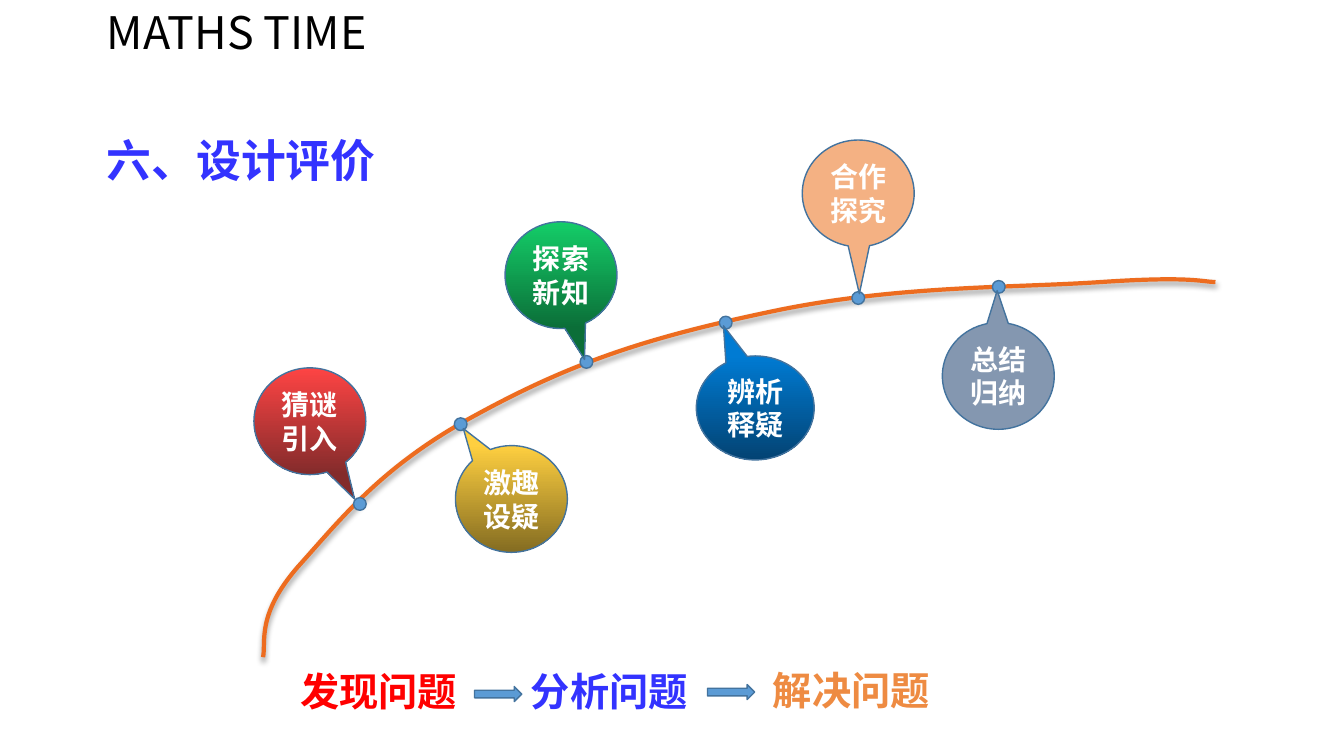
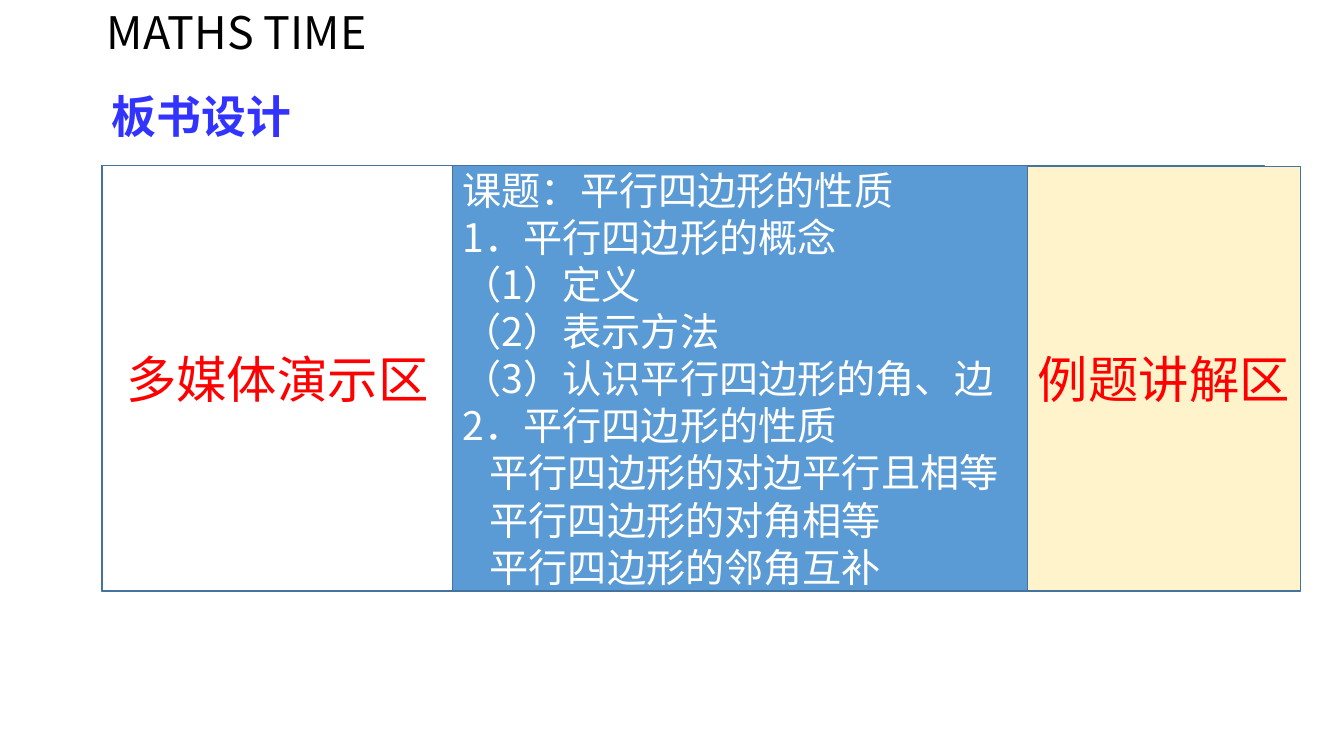
"""Build two maths lesson slides: the design evaluation and the blackboard plan."""
from dataclasses import dataclass

from lxml import etree
from pptx import Presentation
from pptx.dml.color import RGBColor
from pptx.enum.shapes import MSO_SHAPE
from pptx.enum.text import MSO_ANCHOR, PP_ALIGN
from pptx.oxml import parse_xml
from pptx.oxml.ns import nsdecls, qn
from pptx.util import Cm, Pt

OVAL = MSO_SHAPE.OVAL
CALLOUT = MSO_SHAPE.OVAL_CALLOUT
ARROW = MSO_SHAPE.RIGHT_ARROW
RECTANGLE = MSO_SHAPE.RECTANGLE
MIDDLE, TOP = MSO_ANCHOR.MIDDLE, MSO_ANCHOR.TOP
LEFT, CENTER = PP_ALIGN.LEFT, PP_ALIGN.CENTER


@dataclass(frozen=True)
class Theme:
    """Colours, font and type sizes shared by the slides."""

    font: str = "Noto Sans CJK SC"
    black: str = "000000"
    white: str = "FFFFFF"
    red: str = "FF0000"
    violet: str = "3333FF"
    orange: str = "EE8B42"
    curve: str = "ED6C1F"
    blue: str = "5B9BD5"
    outline: str = "43739E"
    cream: str = "FFF3CB"
    crimson: tuple = ("FE4444", "832B2B")
    green: tuple = ("14CD68", "0B6E38")
    gold: tuple = ("FECF40", "846C21")
    azure: tuple = ("007BD3", "034373")
    peach: str = "F4B183"
    slate: str = "8497B0"
    title_size: int = 32
    area_size: int = 36
    body_size: int = 28
    stage_size: int = 20


THEME = Theme()

CURVE_START = (6.63, 16.56)
CURVE_POINTS = [
    (6.71, 16.18), (6.45, 15.49), (7.52, 14.27),
    (8.61, 13.06), (9.63, 11.73), (11.99, 10.46),
    (14.35, 9.17), (16.21, 8.53), (19.35, 7.87),
    (22.5, 7.19), (25.45, 7.26), (27.71, 7.11),
    (29.95, 6.96), (30.23, 7.09), (30.63, 7.11),
]
DOT_SIZE = 0.32
DOT_CENTERS = [(9.07, 12.7), (11.61, 10.69), (14.78, 9.12),
               (18.29, 8.13), (21.63, 7.51), (25.17, 7.23)]
BUBBLE = (2.82, 2.69)
STAGES = [
    ("猜谜引入", (6.4, 9.27, *BUBBLE), (0.4, 0.73), THEME.crimson),
    ("探索新知", (12.73, 5.59, *BUBBLE), (0.21, 0.79), THEME.green),
    ("合作探究", (20.22, 3.53, *BUBBLE), (0.01, 0.94), THEME.peach),
    ("激趣设疑", (11.48, 11.23, *BUBBLE), (-0.43, -0.66), THEME.gold),
    ("辨析释疑", (17.55, 8.97, 2.97, 2.62), (-0.27, -0.79), THEME.azure),
    ("总结归纳", (23.75, 8.13, *BUBBLE), (-0.01, -0.8), THEME.slate),
]
STEPS = [
    ("发现问题", 7.32, 16.69, THEME.red),
    ("分析问题", 13.13, 16.69, THEME.violet),
    ("解决问题", 19.23, 16.66, THEME.orange),
]
STEP_ARROWS = [(11.96, 17.3), (17.83, 17.25)]

BOARD_LEFT, BOARD_TOP, BOARD_HEIGHT = 2.57, 4.17, 10.72
BOARD_LINES = [
    ("课题：平行四边形的性质", 0),
    ("1．平行四边形的概念", 0),
    ("（1）定义", 0),
    ("（2）表示方法", 0),
    ("（3）认识平行四边形的角、边", 0),
    ("2．平行四边形的性质", 0),
    ("平行四边形的对边平行且相等", 0.68),
    ("平行四边形的对角相等", 0.68),
    ("平行四边形的邻角互补", 0.68),
]
BOARD_AREAS = [
    (8.84, 0, THEME.white, [("多媒体演示区", 0)], THEME.area_size, THEME.red, CENTER),
    (14.48, 0, THEME.blue, BOARD_LINES, THEME.body_size, THEME.white, LEFT),
    (6.88, 0.03, THEME.cream, [("例题讲解区", 0)], THEME.area_size, THEME.red, CENTER),
]


def write_lines(shape, lines, size, color, bold=False, align=LEFT, anchor=TOP, wrap=True):
    """Write (wording, indent) lines into a shape, one paragraph each."""
    frame = shape.text_frame
    frame.word_wrap = wrap
    frame.vertical_anchor = anchor
    for index, (wording, indent) in enumerate(lines):
        paragraph = frame.add_paragraph() if index else frame.paragraphs[0]
        paragraph.alignment = align
        if indent:
            paragraph._p.get_or_add_pPr().set("marL", str(Cm(indent)))
        run = paragraph.add_run()
        run.text = wording
        run.font.size = Pt(size)
        run.font.bold = bold
        run.font.color.rgb = RGBColor.from_string(color)
        run.font.name = THEME.font
        east_asian = etree.SubElement(run._r.get_or_add_rPr(), qn("a:ea"))
        east_asian.set("typeface", THEME.font)


def add_label(slide, wording, box, size, color, bold=True, wrap=False):
    """Add a one-line text box."""
    label = slide.shapes.add_textbox(*map(Cm, box))
    write_lines(label, [(wording, 0)], size, color, bold, wrap=wrap)


def add_outlined(slide, preset, box, fill):
    """Add a preset shape with a solid or top-to-bottom gradient fill."""
    shape = slide.shapes.add_shape(preset, *map(Cm, box))
    shape.shadow.inherit = False
    if isinstance(fill, tuple):
        shape.fill.gradient()
        shape.fill.gradient_angle = 270
        for stop, color in zip(shape.fill.gradient_stops, fill):
            stop.color.rgb = RGBColor.from_string(color)
    else:
        shape.fill.solid()
        shape.fill.fore_color.rgb = RGBColor.from_string(fill)
    shape.line.color.rgb = RGBColor.from_string(THEME.outline)
    shape.line.width = Pt(1)
    return shape


def add_curve(slide):
    """Draw the rising lesson curve as cubic segments with a soft shadow."""
    builder = slide.shapes.build_freeform(*map(Cm, CURVE_START))
    builder.add_line_segments([(Cm(x), Cm(y)) for x, y in CURVE_POINTS], close=False)
    curve = builder.convert_to_shape()
    curve.fill.background()
    curve.line.color.rgb = RGBColor.from_string(THEME.curve)
    curve.line.width = Pt(3)
    outline = curve._element.spPr.find(".//" + qn("a:path"))
    segments = outline.findall(qn("a:lnTo"))
    for first in range(0, len(segments), 3):
        bend = etree.SubElement(outline, qn("a:cubicBezTo"))
        for segment in segments[first:first + 3]:
            bend.append(segment[0])
            outline.remove(segment)
    curve._element.spPr.append(parse_xml(
        f'<a:effectLst {nsdecls("a")}>'
        f'<a:outerShdw blurRad="{Pt(4)}" dist="{Pt(3)}" dir="5400000" rotWithShape="0">'
        f'<a:srgbClr val="{THEME.black}"><a:alpha val="40000"/></a:srgbClr>'
        '</a:outerShdw></a:effectLst>'))


def add_stage(slide, wording, box, tip, fill):
    """Add a lesson stage bubble whose tip points at the curve."""
    bubble = add_outlined(slide, CALLOUT, box, fill)
    bubble.adjustments[0], bubble.adjustments[1] = tip
    write_lines(bubble, [(wording, 0)], THEME.stage_size, THEME.white, True, CENTER, MIDDLE)


def add_lesson_slide(deck, title, left, top, width):
    """Add a blank slide with the running header and its title."""
    slide = deck.slides.add_slide(deck.slide_layouts[6])
    add_label(slide, "MATHS TIME", (2.44, 0, 7.67, 1.62), THEME.title_size,
              THEME.black, bold=False, wrap=True)
    add_label(slide, title, (left, top, width, 1.62), THEME.title_size, THEME.violet)
    return slide


def build_evaluation(deck):
    """Build the design evaluation slide."""
    slide = add_lesson_slide(deck, "六、设计评价", 2.44, 3.23, 7.29)
    add_curve(slide)
    for x, y in DOT_CENTERS:
        dot_box = (x - DOT_SIZE / 2, y - DOT_SIZE / 2, DOT_SIZE, DOT_SIZE)
        add_outlined(slide, OVAL, dot_box, THEME.blue)
    for stage in STAGES:
        add_stage(slide, *stage)
    for wording, left, top, color in STEPS:
        add_label(slide, wording, (left, top, 4.47, 1.45), THEME.body_size, color)
    for left, top in STEP_ARROWS:
        add_outlined(slide, ARROW, (left, top, 1.19, 0.38), THEME.blue)


def build_blackboard(deck):
    """Build the blackboard plan slide."""
    slide = add_lesson_slide(deck, "板书设计", 2.57, 2.11, 5.03)
    add_outlined(slide, RECTANGLE, (BOARD_LEFT, BOARD_TOP, 29.29, BOARD_HEIGHT), THEME.blue)
    left = BOARD_LEFT
    for width, drop, fill, lines, size, color, align in BOARD_AREAS:
        area_box = (left, BOARD_TOP + drop, width, BOARD_HEIGHT - drop)
        area = add_outlined(slide, RECTANGLE, area_box, fill)
        write_lines(area, lines, size, color, align=align, anchor=MIDDLE)
        left += width


def main():
    """Build and save the deck."""
    deck = Presentation()
    deck.slide_width, deck.slide_height = Cm(33.87), Cm(19.05)
    build_evaluation(deck)
    build_blackboard(deck)
    deck.save("out.pptx")


if __name__ == "__main__":
    main()
